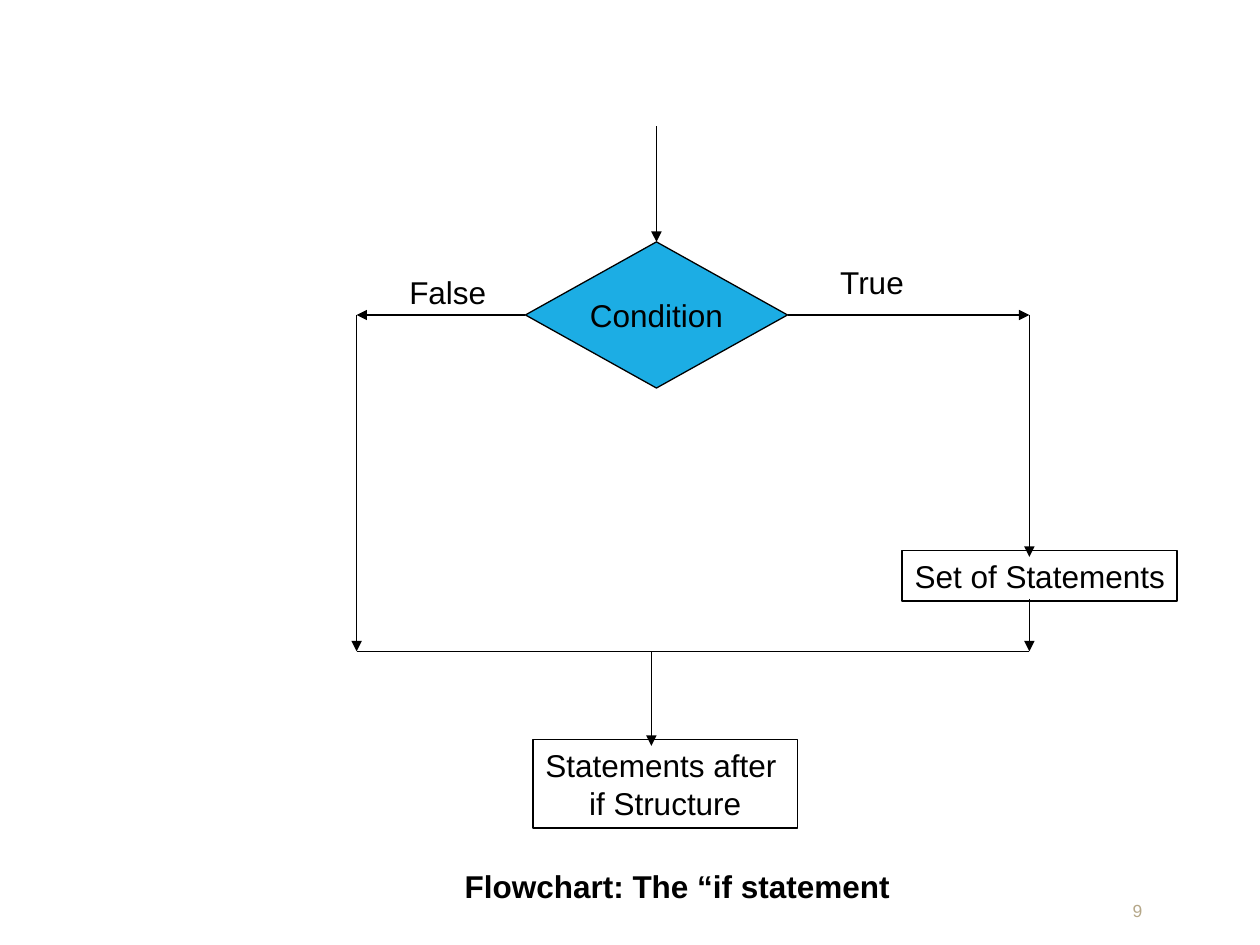
from dataclasses import dataclass
from typing import Optional

from lxml.etree import SubElement
from pptx import Presentation
from pptx.dml.color import RGBColor
from pptx.enum.shapes import MSO_CONNECTOR as Connector, MSO_SHAPE as Preset
from pptx.enum.text import MSO_ANCHOR as Anchor, MSO_AUTO_SIZE as AutoSize, PP_ALIGN as Align
from pptx.oxml.ns import qn
from pptx.util import Emu, Pt

EMU_PER_PX = 9144  # 100 px to the inch
BLACK = RGBColor(0x00, 0x00, 0x00)
BLUE = RGBColor(0x1C, 0xAD, 0xE4)
SAND = RGBColor(0xB5, 0xA7, 0x88)

FALSE_X, AFTER_X, ENTRY_X, TRUE_X = 283, 517, 521, 817
BRANCH_Y, MERGE_Y = 250, 517
TOP, LEFT, RIGHT = 0, 1, 3


@dataclass(frozen=True)
class Box:
    """A flowchart step, or plain text when preset is None."""
    lines: tuple[str, ...]
    left: int
    top: int
    width: int
    height: int
    preset: Optional[Preset] = None
    fill: Optional[RGBColor] = None
    border: float = 1
    align: Align = Align.LEFT
    anchor: Anchor = Anchor.TOP
    wrap: bool = True
    size: int = 18
    bold: bool = False
    color: RGBColor = BLACK


@dataclass(frozen=True)
class Flow:
    start: tuple[int, int]
    end: tuple[int, int]
    arrow: bool = True
    from_side: Optional[int] = None
    to_side: Optional[int] = None


CONDITION = Box(("Condition",), 417, 192, 208, 116, Preset.FLOWCHART_DECISION, BLUE,
                border=0.75, align=Align.CENTER, anchor=Anchor.MIDDLE, wrap=False)
STEPS = (
    Box(("Set of Statements",), 716, 437, 218, 40, Preset.RECTANGLE),
    Box(("Statements after ", "if Structure"), 423, 587, 210, 70, Preset.RECTANGLE,
        align=Align.CENTER),
)
FLOWS = (
    Flow((625, BRANCH_Y), (TRUE_X, BRANCH_Y), from_side=RIGHT),
    Flow((TRUE_X, BRANCH_Y), (TRUE_X, 442)),
    Flow((TRUE_X, 475), (TRUE_X, MERGE_Y)),
    Flow((TRUE_X, MERGE_Y), (FALSE_X, MERGE_Y), arrow=False),
    Flow((FALSE_X, BRANCH_Y), (FALSE_X, MERGE_Y)),
    Flow((417, BRANCH_Y), (FALSE_X, BRANCH_Y), from_side=LEFT),
    Flow((AFTER_X, MERGE_Y), (AFTER_X, 592)),
    Flow((ENTRY_X, 100), (ENTRY_X, 192), to_side=TOP),
)
LABELS = (
    Box(("True",), 657, 204, 71, 40),
    Box(("False",), 315, 212, 81, 40),
    Box(("Flowchart: The “if statement",), 359, 683, 357, 40, bold=True),
    Box(("9",), 889, 708, 80, 30, anchor=Anchor.MIDDLE, size=10, color=SAND),
)


def px(length: int) -> Emu:
    return Emu(length * EMU_PER_PX)


def apply_format(target, values: dict) -> None:
    for name, value in values.items():
        setattr(target, name, value)


def write_lines(frame, box: Box) -> None:
    """Write the lines with side margins that leave each one room to stay whole."""
    left_margin, right_margin = (5, 5) if box.align == Align.CENTER else (10, 0)
    apply_format(frame, {
        "word_wrap": box.wrap,
        "auto_size": AutoSize.NONE,
        "vertical_anchor": box.anchor,
        "margin_left": px(left_margin), "margin_right": px(right_margin),
        "margin_top": px(5), "margin_bottom": px(5),
    })
    for index, line in enumerate(box.lines):
        paragraph = frame.add_paragraph() if index else frame.paragraphs[0]
        paragraph.alignment = box.align
        run = paragraph.add_run()
        run.text = line
        apply_format(run.font, {"name": "Arial", "size": Pt(box.size), "bold": box.bold})
        run.font.color.rgb = box.color


def draw_box(shapes, box: Box):
    bounds = [px(length) for length in (box.left, box.top, box.width, box.height)]
    if box.preset is None:
        drawn = shapes.add_textbox(*bounds)
    else:
        drawn = shapes.add_shape(box.preset, *bounds)
        drawn.shadow.inherit = False
        drawn.line.color.rgb = BLACK
        drawn.line.width = Pt(box.border)
        if box.fill is None:
            drawn.fill.background()
        else:
            drawn.fill.solid()
            drawn.fill.fore_color.rgb = box.fill
    write_lines(drawn.text_frame, box)
    return drawn


def draw_flow(shapes, flow: Flow, decision) -> None:
    """Draw a line, joined to the decision at whichever side is given."""
    line = shapes.add_connector(Connector.STRAIGHT, *map(px, flow.start + flow.end))
    if flow.from_side is not None:
        line.begin_connect(decision, flow.from_side)
    if flow.to_side is not None:
        line.end_connect(decision, flow.to_side)
    line.line.color.rgb = BLACK
    line.line.width = Pt(0.75)
    properties = line._element.spPr
    if flow.arrow:
        SubElement(properties.find(qn("a:ln")), qn("a:tailEnd"), type="triangle")
    SubElement(properties, qn("a:effectLst"))


def main() -> None:
    deck = Presentation()
    deck.slide_width, deck.slide_height = px(1000), px(750)
    blank_layout = deck.slide_layouts[6]
    shapes = deck.slides.add_slide(blank_layout).shapes
    decision = draw_box(shapes, CONDITION)
    for step in STEPS:
        draw_box(shapes, step)
    for flow in FLOWS:
        draw_flow(shapes, flow, decision)
    for label in LABELS:
        draw_box(shapes, label)
    deck.save("out.pptx")


if __name__ == "__main__":
    main()
